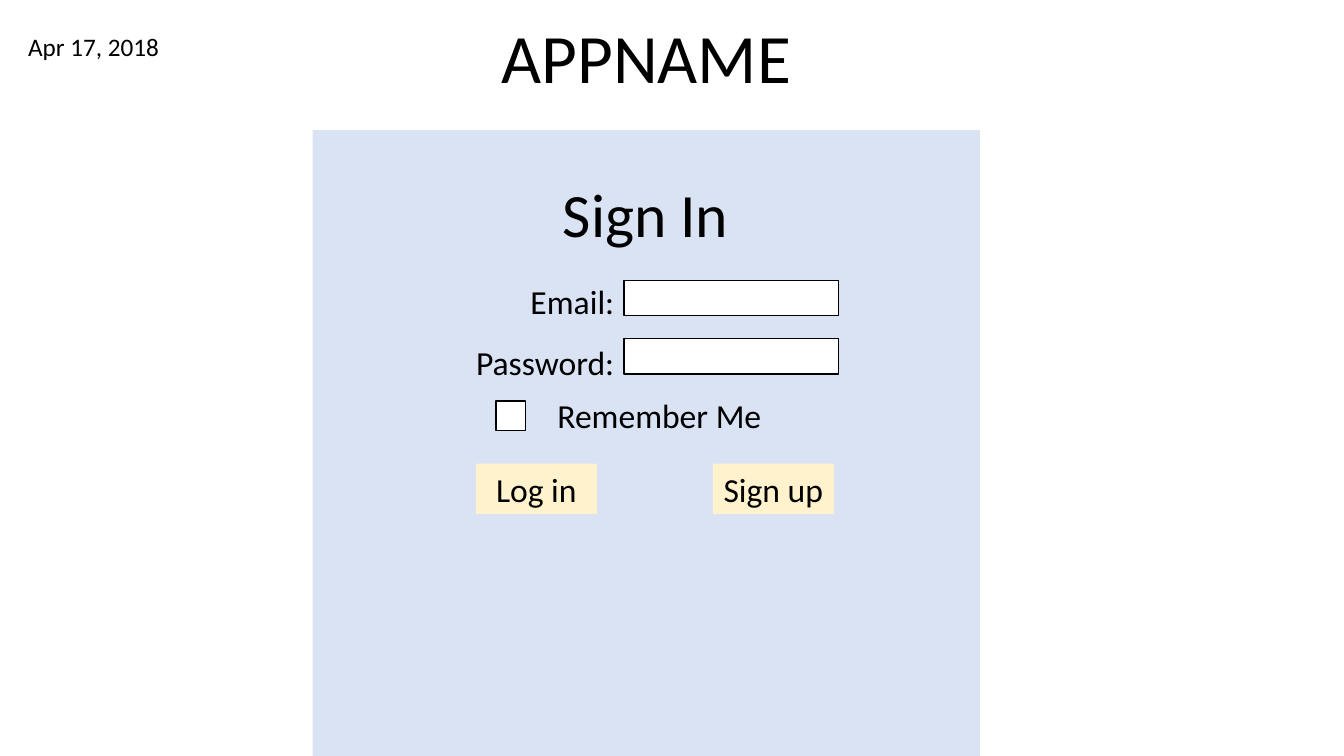
from pptx import Presentation
from pptx.dml.color import RGBColor
from pptx.enum.shapes import MSO_SHAPE
from pptx.enum.text import MSO_ANCHOR, PP_ALIGN
from pptx.util import Inches, Pt

FONT = "Calibri"
BLACK = RGBColor(0x00, 0x00, 0x00)
WHITE = RGBColor(0xFF, 0xFF, 0xFF)
PANEL_BLUE = RGBColor(0xDA, 0xE3, 0xF3)
BUTTON_YELLOW = RGBColor(0xFF, 0xF2, 0xCC)

RECTANGLE = MSO_SHAPE.RECTANGLE
LEFT, CENTER, RIGHT = PP_ALIGN.LEFT, PP_ALIGN.CENTER, PP_ALIGN.RIGHT
TOP, MIDDLE, BOTTOM = MSO_ANCHOR.TOP, MSO_ANCHOR.MIDDLE, MSO_ANCHOR.BOTTOM
TITLE_ONLY = 5


def write_text(shape, lines, size, align=LEFT, anchor=TOP, spacing=1.0, wrap=True):
    """Fill a shape with one formatted paragraph per line."""
    frame = shape.text_frame
    frame.text = "\n".join(lines)
    frame.word_wrap = wrap
    frame.vertical_anchor = anchor
    for paragraph in frame.paragraphs:
        paragraph.alignment = align
        paragraph.line_spacing = spacing
        font_format = {"name": FONT, "size": Pt(size)}
        for name, value in font_format.items():
            setattr(paragraph.font, name, value)
        paragraph.font.color.rgb = BLACK


def add_title(slide, text, left, top, width, height):
    """Place the title placeholder and write the title."""
    title = slide.shapes.title
    box = {"left": left, "top": top, "width": width, "height": height}
    for name, value in box.items():
        setattr(title, name, Inches(value))
    write_text(title, [text], 49.5, CENTER, BOTTOM, spacing=0.7)


def add_label(slide, lines, left, top, width, height, size, **text_format):
    """Add a text box."""
    label = slide.shapes.add_textbox(*map(Inches, (left, top, width, height)))
    write_text(label, lines, size, **text_format)


def add_box(slide, left, top, width, height, fill, outlined=False):
    """Add a flat rectangle, with a thin black outline if wanted."""
    box = slide.shapes.add_shape(RECTANGLE, *map(Inches, (left, top, width, height)))
    box.shadow.inherit = False
    box.fill.solid()
    box.fill.fore_color.rgb = fill
    if outlined:
        box.line.color.rgb = BLACK
        box.line.width = Pt(1)
    else:
        box.line.fill.background()
    return box


def add_button(slide, text, left):
    """Add a button on the button row."""
    button = add_box(slide, left, 4.6, 1.2, 0.5, BUTTON_YELLOW)
    write_text(button, [text], 24, CENTER, MIDDLE, wrap=False)


def main():
    """Build the sign-in screen."""
    presentation = Presentation()
    presentation.slide_width = Inches(13.33)
    presentation.slide_height = Inches(7.5)
    slide = presentation.slides.add_slide(presentation.slide_layouts[TITLE_ONLY])

    add_box(slide, 3.1, 1.29, 6.62, 6.21, PANEL_BLUE)
    add_title(slide, "APPNAME", 4.71, 0.26, 3.4, 0.73)
    add_label(slide, ["Apr 17, 2018"], 0.18, 0.26, 1.59, 0.4, 18)
    add_label(slide, ["Sign In"], 5.43, 1.7, 1.95, 0.84, 44, align=CENTER)
    add_label(slide, ["Email:", "Password:"], 4.47, 2.54, 1.72, 1.86, 24,
              align=RIGHT, spacing=1.5)

    for field_top in (2.78, 3.36):
        add_box(slide, 6.19, field_top, 2.13, 0.35, WHITE, outlined=True)

    add_box(slide, 4.92, 3.98, 0.29, 0.29, WHITE, outlined=True)
    add_label(slide, ["Remember Me"], 5.43, 3.87, 2.25, 0.5, 24, wrap=False)

    for text, left in (("Log in", 4.72), ("Sign up", 7.07)):
        add_button(slide, text, left)

    presentation.save("out.pptx")


main()
